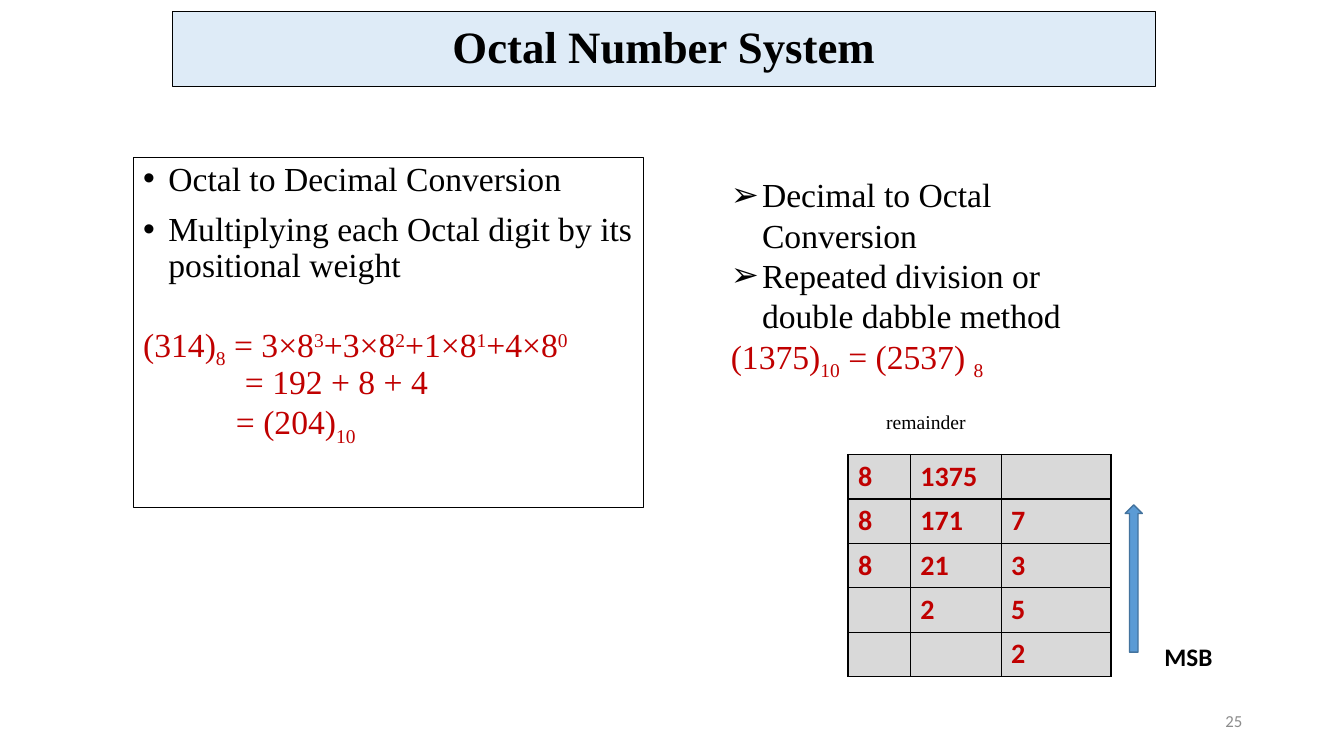
from lxml.etree import SubElement as Sub
from pptx import Presentation
from pptx.dml.color import RGBColor
from pptx.enum.shapes import MSO_SHAPE as Shape
from pptx.enum.text import MSO_ANCHOR as Anchor, MSO_AUTO_SIZE as Auto, PP_ALIGN as Align
from pptx.oxml.ns import qn
from pptx.util import Inches, Pt

HEX = {"ink": "000000", "red": "C00000", "title": "DEEBF7", "cell": "D9D9D9",
       "arrow": "5B9BD5", "edge": "43739E", "page": "8C8C8C"}
SERIF, SANS = "Times New Roman", "Calibri"
BASE = {"^": "30000", "_": "-25000"}

# A run that starts with ^ is raised, one that starts with _ is lowered.
TITLE = "Octal Number System"
DOT = dict(bullet="•", left=0.25, line=0.9)
SUM = dict(color="red", line=0.9)
TO_DEC = [
    (["Octal to Decimal Conversion"], DOT),
    (["Multiplying each Octal digit by its positional weight"], dict(DOT, before=10)),
    (["(314)", "_8", " = 3×8", "^3", "+3×8", "^2", "+1×8", "^1", "+4×8", "^0"],
     dict(SUM, before=28)),
    (["= 192 + 8 + 4"], dict(SUM, left=1.01)),
    (["= (204)", "_10"], dict(SUM, left=0.92)),
]
POINT = dict(bullet="➢", left=0.31)
TO_OCT = [
    (["Decimal to Octal Conversion"], POINT),
    (["Repeated division or double dabble method"], POINT),
    (["(1375)", "_10", " = (2537) ", "_8"], dict(color="red")),
    (["remainder"], dict(size=14, left=1.54, before=20)),
]
STEPS = [("8", "1375", ""), ("8", "171", "7"), ("8", "21", "3"),
         ("", "2", "5"), ("", "", "2")]
COLS, ROW = (0.62, 0.9, 1.09), 0.434


def rgb(name):
    return RGBColor.from_string(HEX[name])


def write(para, runs, font=SERIF, size=24, color="ink", bold=False, align=None,
          line=1.0, before=0, left=0, bullet=None):
    props = para._p.get_or_add_pPr()
    props.set("marL", str(Inches(left)))
    props.set("indent", str(-Inches(left) if bullet else 0))
    if bullet:
        Sub(props, qn("a:buFont"), typeface="Arial")
        Sub(props, qn("a:buChar"), char=bullet)
    else:
        Sub(props, qn("a:buNone"))
    para.line_spacing, para.space_before, para.alignment = line, Pt(before), align
    for text in runs:
        run = para.add_run()
        shift = BASE.get(text[0])
        run.text = text[1:] if shift else text
        face = run.font
        face.name, face.size, face.bold = font, Pt(size), bold
        face.color.rgb = rgb(color)
        if shift:
            run._r.get_or_add_rPr().set("baseline", shift)


def fill(shape, paras, anchor=Anchor.TOP):
    frame = shape.text_frame
    frame.word_wrap, frame.auto_size = True, Auto.NONE
    frame.vertical_anchor = anchor
    for i, (runs, fmt) in enumerate(paras):
        write(frame.add_paragraph() if i else frame.paragraphs[0], runs, **fmt)


def place(shape, *box):
    shape.left, shape.top, shape.width, shape.height = map(Inches, box)


def paint(shape, color, edge="ink", width=0.75):
    if color:
        shape.fill.solid()
        shape.fill.fore_color.rgb = rgb(color)
    shape.line.color.rgb = rgb(edge)
    shape.line.width = Pt(width)


def border(cell):
    props = cell._tc.get_or_add_tcPr()
    for side in ("lnL", "lnR", "lnT", "lnB"):
        edge = Sub(props, qn("a:" + side), w=str(Pt(1)))
        Sub(Sub(edge, qn("a:solidFill")), qn("a:srgbClr"), val=HEX["ink"])


def add_text(slide, box, paras, anchor=Anchor.TOP):
    fill(slide.shapes.add_textbox(*map(Inches, box)), paras, anchor)


def add_steps(slide):
    frame = slide.shapes.add_table(len(STEPS), len(COLS), Inches(8.41), Inches(4.51),
                                   Inches(sum(COLS)), Inches(ROW * len(STEPS)))
    table = frame.table
    for col, width in zip(table.columns, COLS):
        col.width = Inches(width)
    for r, step in enumerate(STEPS):
        table.rows[r].height = Inches(ROW)
        for c, text in enumerate(step):
            cell = table.cell(r, c)
            border(cell)
            cell.fill.solid()
            cell.fill.fore_color.rgb = rgb("cell")
            if text:
                write(cell.text_frame.paragraphs[0], [text], font=SANS, size=20,
                      color="red", bold=True)


def main():
    deck = Presentation()
    deck.slide_width, deck.slide_height = Inches(13.33), Inches(7.5)
    slide = deck.slides.add_slide(deck.slide_layouts[1])

    title, body = slide.placeholders
    place(title, 1.71, 0.11, 9.75, 0.75)
    paint(title, "title")
    fill(title, [([TITLE], dict(size=32, bold=True, align=Align.CENTER, line=0.9))],
         Anchor.MIDDLE)
    place(body, 1.32, 1.56, 5.06, 3.48)
    paint(body, None)
    fill(body, TO_DEC)

    add_text(slide, (7.15, 1.68, 4.18, 2.93), TO_OCT)
    add_steps(slide)
    arrow = slide.shapes.add_shape(Shape.UP_ARROW, *map(Inches, (11.16, 5.01, 0.17, 1.46)))
    arrow.shadow.inherit = False
    paint(arrow, "arrow", "edge", 1)
    add_text(slide, (11.45, 6.31, 0.83, 0.4),
             [(["MSB"], dict(font=SANS, size=18, bold=True))])
    add_text(slide, (9.42, 6.95, 3, 0.4),
             [(["25"], dict(font=SANS, size=12, color="page", align=Align.RIGHT))],
             Anchor.MIDDLE)
    deck.save("out.pptx")


if __name__ == "__main__":
    main()
